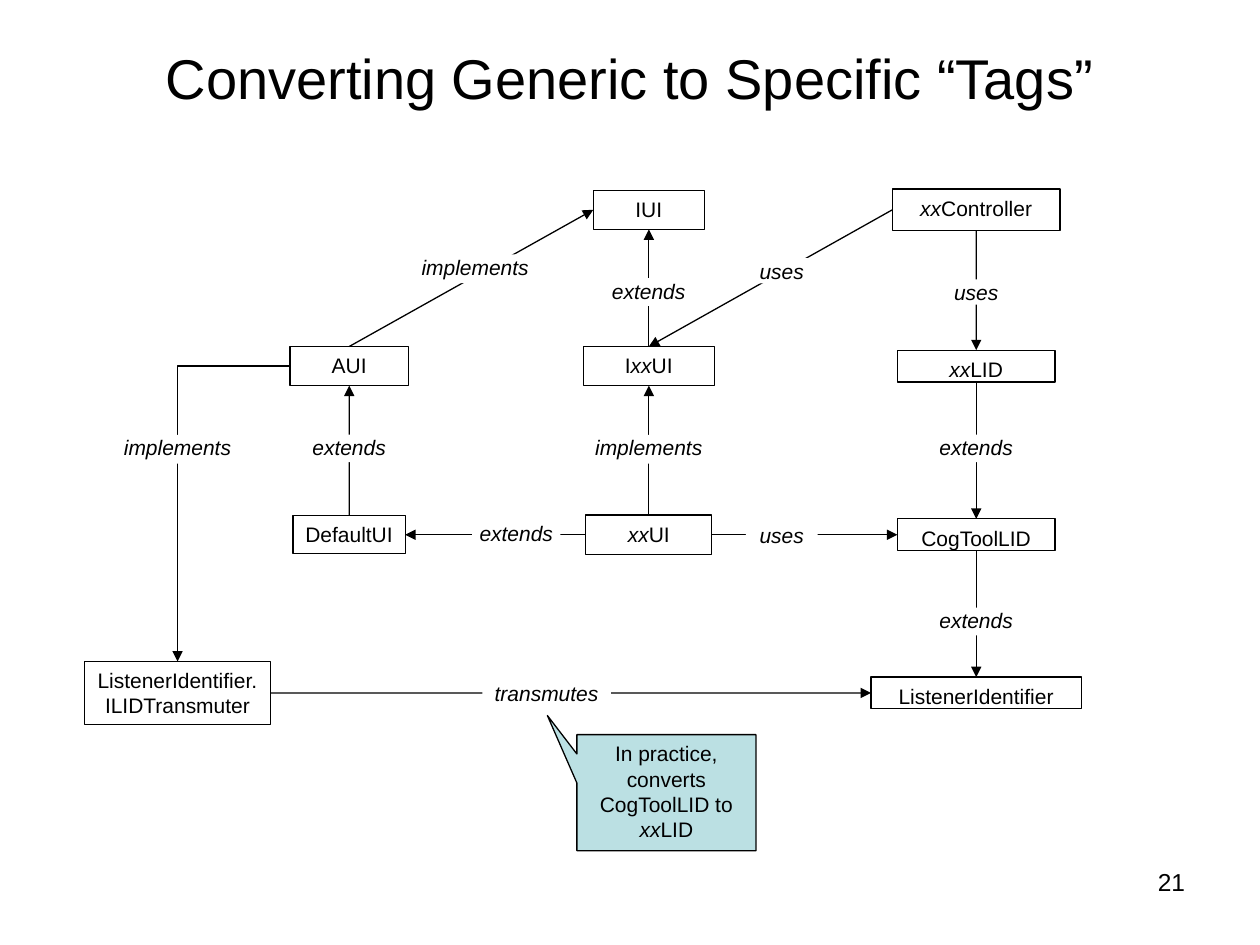
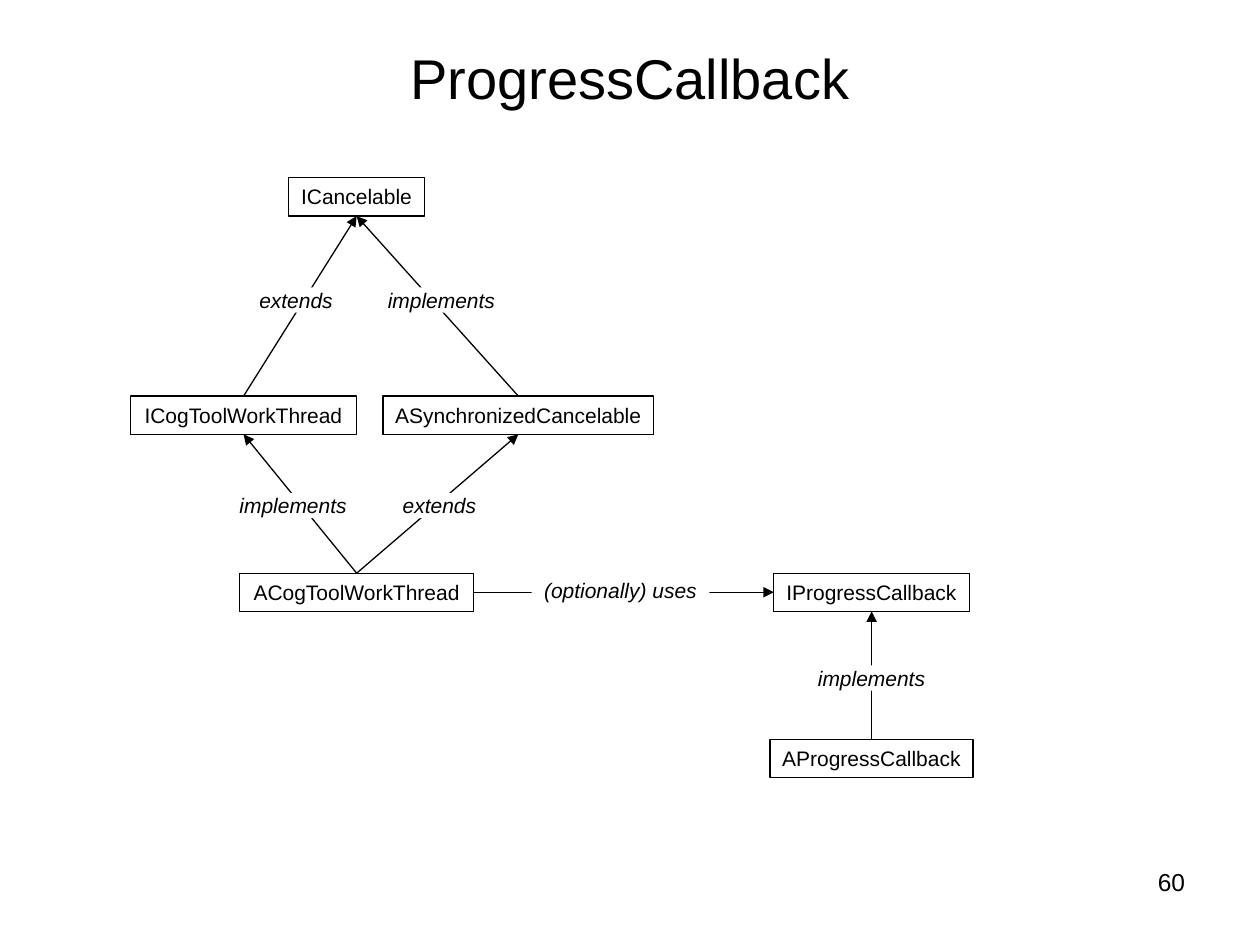
from lxml.etree import SubElement
from pptx import Presentation
from pptx.dml.color import RGBColor
from pptx.enum.shapes import MSO_CONNECTOR as CONN, MSO_SHAPE as SHAPE
from pptx.enum.text import MSO_ANCHOR as ANCHOR, MSO_AUTO_SIZE as AUTO, PP_ALIGN as ALIGN
from pptx.oxml.ns import qn
from pptx.util import Cm, Pt

BLACK = RGBColor(0x00, 0x00, 0x00)
WHITE = RGBColor(0xFF, 0xFF, 0xFF)
PALE_TEAL = RGBColor(0xBB, 0xE0, 0xE3)
FONT = "Arial"
PREFIX = "xx"
TOP, LEFT, BOTTOM, RIGHT = range(4)


def format_run(r, size, italic=False):
    r.font.name = FONT
    r.font.size = Pt(size)
    r.font.color.rgb = BLACK
    r.font.italic = italic


def write_text(tf, text, italic=False):
    for i, line in enumerate(text.split("\n")):
        p = tf.add_paragraph() if i else tf.paragraphs[0]
        p.alignment = ALIGN.CENTER
        for part in line.partition(PREFIX):
            if part:
                r = p.add_run()
                r.text = part
                format_run(r, 12, italic or part == PREFIX)


def add_panel(slide, kind, box, text, fill=WHITE, outlined=True, italic=False):
    sp = slide.shapes.add_shape(kind, *map(Cm, box))
    sp.shadow.inherit = False
    sp.fill.solid()
    sp.fill.fore_color.rgb = fill
    if outlined:
        sp.line.color.rgb = BLACK
        sp.line.width = Pt(0.75)
    else:
        sp.line.fill.background()
    tf = sp.text_frame
    tf.vertical_anchor = ANCHOR.TOP
    tf.word_wrap = False
    write_text(tf, text, italic)
    return sp


def centred_box(area, x, y, w, h):
    return area[0] + x - w / 2, area[1] + y - h / 2, w, h


def add_label(slide, area, text, x, y, size):
    sp = add_panel(slide, SHAPE.RECTANGLE, centred_box(area, x, y, *size), text,
                   outlined=False, italic=True)
    sp.text_frame.margin_top = sp.text_frame.margin_bottom = 0


def add_arrow(slide, start, start_side, end, end_side):
    bent = start_side == LEFT and end_side == TOP and end.left < start.left
    kind = CONN.ELBOW if bent else CONN.STRAIGHT
    cn = slide.shapes.add_connector(kind, 0, 0, 0, 0)
    cn.begin_connect(start, start_side)
    cn.end_connect(end, end_side)
    cn.line.color.rgb = BLACK
    cn.line.width = Pt(0.75)
    spPr = cn._element.spPr
    if bent and end.top > start.top + start.height and end.width > start.width:
        spPr.find(qn("a:prstGeom")).set("prst", "bentConnector2")
    else:
        spPr.find(qn("a:prstGeom")).set("prst", "line")
    SubElement(spPr.find(qn("a:ln")), qn("a:tailEnd"), type="triangle")
    SubElement(spPr, qn("a:effectLst"))


def add_class_diagram(slide, area, classes, links, label_sizes):
    boxes = {name: add_panel(slide, SHAPE.RECTANGLE, centred_box(area, *place), name)
             for name, place in classes.items()}
    for start, start_side, end, end_side, *_ in links:
        add_arrow(slide, boxes[start], start_side, boxes[end], end_side)
    for *_, text, x, y in links:
        add_label(slide, area, text, x, y, label_sizes[text])


def add_callout(slide, area, text, x, y, w, h):
    sp = add_panel(slide, SHAPE.RECTANGULAR_CALLOUT, (area[0] + x, area[1] + y, w, h),
                   text, PALE_TEAL)
    sp.adjustments[0] = sp.adjustments[1] = -0.665
    sp.text_frame.word_wrap = True


def add_titled_slide(prs, title, number):
    slide = prs.slides.add_slide(prs.slide_layouts[5])
    sp = slide.shapes.title
    sp.left, sp.top, sp.width, sp.height = map(Cm, (1.27, 0.76, 22.86, 1.58))
    tf = sp.text_frame
    tf.text = title
    tf.auto_size = AUTO.NONE
    tf.vertical_anchor = ANCHOR.MIDDLE
    tf.paragraphs[0].alignment = ALIGN.CENTER
    format_run(tf.paragraphs[0].runs[0], 32)

    tf = slide.shapes.add_textbox(*map(Cm, (19.69, 17.35, 4.45, 1.32))).text_frame
    tf.word_wrap = True
    tf.text = str(number)
    tf.paragraphs[0].alignment = ALIGN.RIGHT
    format_run(tf.paragraphs[0].runs[0], 14)
    return slide


def build_tags_slide(prs):
    slide = add_titled_slide(prs, "Converting Generic to Specific “Tags”", 21)
    area = (1.7, 3.8)
    col_transmuter, col_generic, col_ui, col_lid = 1.88, 5.34, 11.38, 17.98
    row_1, row_2, row_3, row_4 = 0.43, 3.58, 6.98, 10.17
    transmuter = "ListenerIdentifier.\nILIDTransmuter"
    classes = {
        "xxController": (col_lid, row_1, 3.38, 0.84),
        "xxUI": (col_ui, row_3, 2.54, 0.79),
        "IxxUI": (col_ui, row_2, 2.64, 0.79),
        "xxLID": (col_lid, row_2, 3.18, 0.64),
        "CogToolLID": (col_lid, row_3, 3.18, 0.64),
        "ListenerIdentifier": (col_lid, row_4, 4.24, 0.64),
        "DefaultUI": (col_generic, row_3, 2.26, 0.77),
        "IUI": (col_ui, row_1, 2.24, 0.79),
        "AUI": (col_generic, row_2, 2.39, 0.79),
        transmuter: (col_transmuter, row_4, 3.76, 1.27),
    }
    links = [
        ("xxController", LEFT, "IxxUI", TOP, "uses", 14.06, 1.66),
        ("xxUI", TOP, "IxxUI", BOTTOM, "implements", col_ui, 5.26),
        ("xxController", BOTTOM, "xxLID", TOP, "uses", col_lid, 2.09),
        ("xxUI", RIGHT, "CogToolLID", LEFT, "uses", 14.06, row_3),
        ("xxLID", BOTTOM, "CogToolLID", TOP, "extends", col_lid, 5.24),
        ("CogToolLID", BOTTOM, "ListenerIdentifier", TOP, "extends", col_lid, 8.73),
        (transmuter, RIGHT, "ListenerIdentifier", LEFT, "transmutes", 9.32, row_4),
        ("xxUI", LEFT, "DefaultUI", RIGHT, "extends", 8.71, row_3),
        ("IxxUI", TOP, "IUI", BOTTOM, "extends", col_ui, 2.09),
        ("AUI", TOP, "IUI", LEFT, "implements", 7.88, 1.62),
        ("AUI", LEFT, transmuter, TOP, "implements", col_transmuter, 5.26),
        ("DefaultUI", TOP, "AUI", BOTTOM, "extends", col_generic, 5.24),
    ]
    label_sizes = {"implements": (2.44, 0.58), "extends": (1.78, 0.56),
                   "uses": (1.45, 0.51), "transmutes": (2.59, 0.51)}
    add_class_diagram(slide, area, classes, links, label_sizes)
    add_callout(slide, area, "In practice, converts CogToolLID to xxLID",
                9.93, 11.01, 3.61, 2.34)


def build_progress_slide(prs):
    slide = add_titled_slide(prs, "ProgressCallback", 60)
    area = (2.64, 3.58)
    col_interface, col_thread, col_abstract, col_progress = 2.27, 4.55, 7.81, 14.93
    row_1, row_2, row_3, row_4 = 0.39, 4.79, 8.36, 11.71
    height = 0.77
    classes = {
        "ICancelable": (col_thread, row_1, 2.74, height),
        "ASynchronizedCancelable": (col_abstract, row_2, 5.46, height),
        "ICogToolWorkThread": (col_interface, row_2, 4.55, height),
        "ACogToolWorkThread": (col_thread, row_3, 4.72, height),
        "IProgressCallback": (col_progress, row_3, 3.94, height),
        "AProgressCallback": (col_progress, row_4, 4.09, height),
    }
    links = [
        ("ASynchronizedCancelable", TOP, "ICancelable", BOTTOM, "implements", 6.26, 2.47),
        ("ICogToolWorkThread", TOP, "ICancelable", BOTTOM, "extends", 3.33, 2.47),
        ("ACogToolWorkThread", TOP, "ICogToolWorkThread", BOTTOM, "implements", 3.27, 6.61),
        ("ACogToolWorkThread", TOP, "ASynchronizedCancelable", BOTTOM, "extends", 6.22, 6.61),
        ("ACogToolWorkThread", RIGHT, "IProgressCallback", LEFT, "(optionally) uses", 9.87, 8.31),
        ("AProgressCallback", TOP, "IProgressCallback", BOTTOM, "implements", col_progress, 10.09),
    ]
    label_sizes = {"implements": (2.67, 0.51), "extends": (1.98, 0.51),
                   "(optionally) uses": (3.58, 0.51)}
    add_class_diagram(slide, area, classes, links, label_sizes)


def main():
    prs = Presentation()
    prs.slide_width, prs.slide_height = Cm(25.4), Cm(19.05)
    build_tags_slide(prs)
    build_progress_slide(prs)
    prs.save("out.pptx")


if __name__ == "__main__":
    main()
